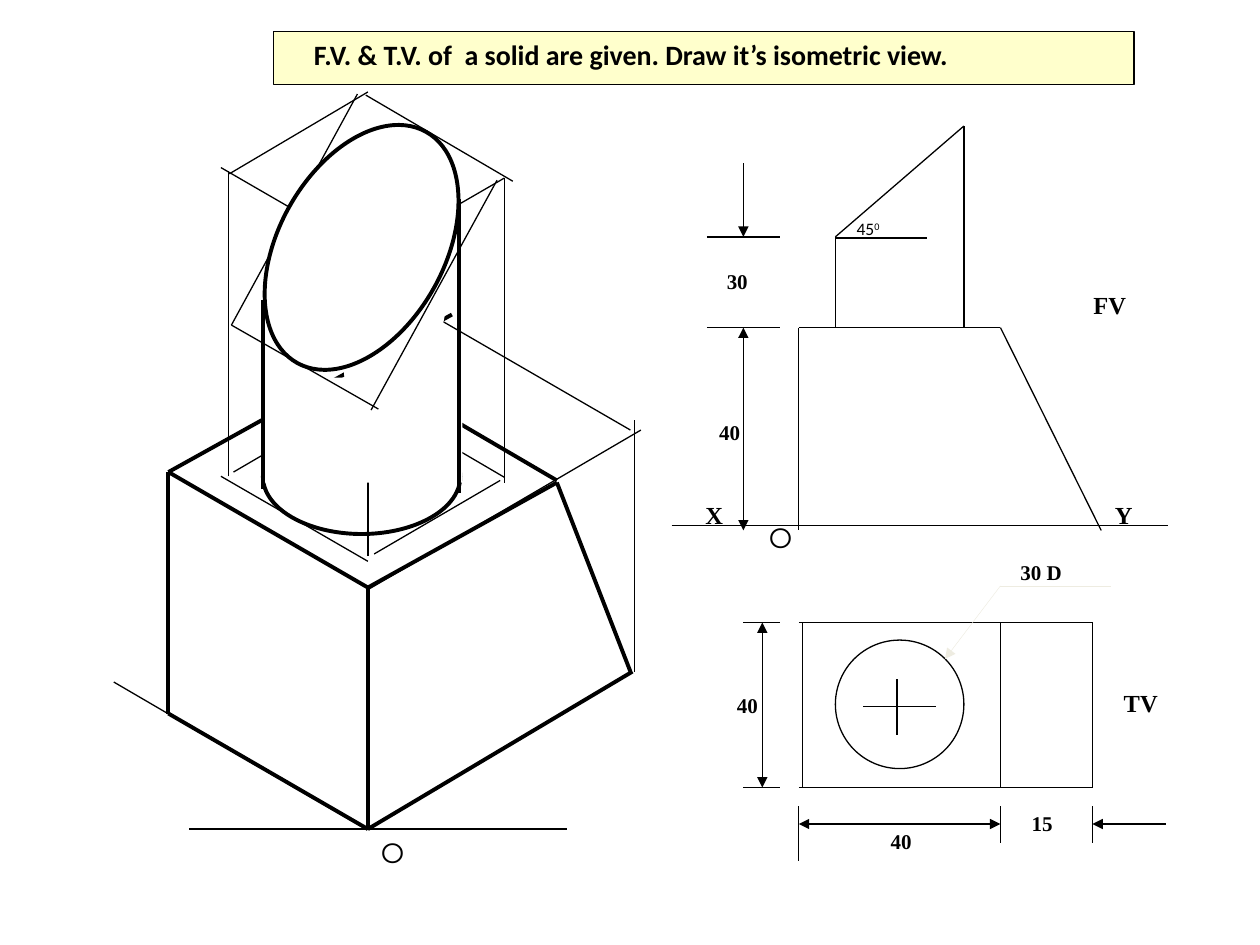
from dataclasses import dataclass

from lxml import etree
from pptx import Presentation
from pptx.dml.color import RGBColor
from pptx.enum.shapes import MSO_CONNECTOR, MSO_SHAPE
from pptx.enum.text import MSO_ANCHOR, MSO_AUTO_SIZE, PP_ALIGN
from pptx.oxml.ns import qn
from pptx.util import Inches, Pt

STRAIGHT = MSO_CONNECTOR.STRAIGHT
OVAL, RECT = MSO_SHAPE.OVAL, MSO_SHAPE.RECTANGLE
LEFT, CENTER = PP_ALIGN.LEFT, PP_ALIGN.CENTER
TOP = MSO_ANCHOR.TOP
NO_FIT, GROW = MSO_AUTO_SIZE.NONE, MSO_AUTO_SIZE.SHAPE_TO_FIT_TEXT

COLORS = {"ink": "000000", "paper": "FFFFFF", "banner": "FFFFCC", "leader": "EEECE1"}
THIN, BOLD, HAIR = 0.75, 2.25, 0.25
SERIF, SANS, MARK = "Times New Roman", "Calibri", "Montserrat"


def color(name):
    return RGBColor.from_string(COLORS[name])


def write(p, text, size, font=SERIF, bold=False, align=LEFT, sup=False):
    p.alignment = align
    r = p.add_run()
    r.text = text
    r.font.size, r.font.name, r.font.bold = Pt(size), font, bold
    r.font.color.rgb = color("ink")
    if sup:
        r._r.get_or_add_rPr().set("baseline", "30000")


@dataclass
class Grid:
    """Drawing grid: origin and cell size in inches; x runs right, y runs down."""
    s: object
    left: float
    top: float
    cell: float

    def x(self, col):
        return Inches(self.left + col * self.cell)

    def y(self, row):
        return Inches(self.top + row * self.cell)

    def line(self, x1, y1, x2, y2, width=THIN, ink="ink", head=False, tail=False):
        c = self.s.shapes.add_connector(STRAIGHT, self.x(x1), self.y(y1), self.x(x2), self.y(y2))
        c.line.width, c.line.color.rgb = Pt(width), color(ink)
        ln = c.line._get_or_add_ln()
        for tag, wanted in (("a:headEnd", head), ("a:tailEnd", tail)):
            if wanted:
                etree.SubElement(ln, qn(tag), type="triangle")
        etree.SubElement(c._element.spPr, qn("a:effectLst"))

    def lines(self, ends, width=THIN):
        for x1, y1, x2, y2 in ends:
            self.line(x1, y1, x2, y2, width)

    def shape(self, kind, col, row, cols, rows, width=None, rotation=0):
        sp = self.s.shapes.add_shape(kind, self.x(col), self.y(row),
                                     Inches(cols * self.cell), Inches(rows * self.cell))
        sp.shadow.inherit = False
        sp.rotation = rotation
        sp.fill.solid()
        sp.fill.fore_color.rgb = color("paper")
        if width:
            sp.line.width, sp.line.color.rgb = Pt(width), color("ink")
        else:
            sp.line.fill.background()

    def label(self, text, col, row, width=0.37, height=0.3, size=12, sup="", **fmt):
        sp = self.s.shapes.add_textbox(self.x(col), self.y(row), Inches(width), Inches(height))
        tf = sp.text_frame
        tf.word_wrap, tf.auto_size = False, GROW
        p = tf.paragraphs[0]
        write(p, text, size, **fmt)
        if sup:
            write(p, sup, size, sup=True, **fmt)

    def origin_mark(self, col, row):
        self.label("O", col, row, 0.39, 0.37, size=16, font=MARK, align=CENTER)


def title_banner(s, left, top, width, height):
    sp = s.shapes.title
    sp.left, sp.top, sp.width, sp.height = map(Inches, (left, top, width, height))
    sp.fill.solid()
    sp.fill.fore_color.rgb = color("banner")
    sp.line.width, sp.line.color.rgb = Pt(THIN), color("ink")
    tf = sp.text_frame
    tf.word_wrap, tf.auto_size, tf.vertical_anchor = True, NO_FIT, TOP
    tf.margin_left, tf.margin_top = Inches(0.32), Inches(0.05)
    write(tf.paragraphs[0], "F.V. & T.V. of  a solid are given. Draw it’s isometric view.",
          16, font=SANS, bold=True)


def isometric_view(g):
    """Solid with its construction lines; the grid origin is the front bottom corner."""
    # Frustum body
    g.lines([(-17, 0, 19, 0), (-0.2, 0, -24.2, -14), (25.4, -15, 25.4, -39),
             (25, -38, 6, -49), (0, -22.8, 26, -38)])
    g.lines([(0, 0, 25.2, -15), (0, 0, 0, -23), (-19, -11, -19, -34), (18, -33, 25, -15),
             (-19, -34, 8, -49), (0, -23, -19, -34), (18, -33.2, -0.8, -44.2),
             (0, -23, 18, -33), (-19, -11, 0, 0)], BOLD)
    # Cylinder base and its enclosing prism
    g.shape(OVAL, -10, -39, 18.8, 10.9, BOLD)
    g.lines([(-12.8, -34, -0.8, -41), (0.6, -26.2, 12.6, -33.2),
             (0, -25.5, -14, -33.6), (13, -33.5, -1, -41.7),
             (-13.3, -33.6, -13.3, -62.7), (0, -26, 0, -55), (13, -33, 13, -62),
             (0, -54.9, -14, -63), (13.8, -61.7, -0.2, -69.9),
             (0.2, -54.6, 13, -62), (-13.2, -62.4, 0, -70.2), (-1, -70, -13, -48)])
    # Cylinder wall and slanted cut
    g.shape(RECT, -10, -43, 19, 10)
    g.shape(OVAL, -3.8, -49.8, 12.7, 6.6, rotation=310.2)
    g.lines([(-13, -48, 1, -40), (12.3, -61.8, 0.3, -39.9)])
    g.shape(OVAL, -13.2, -63.3, 25.2, 15.8, BOLD, rotation=299.1)
    g.lines([(-10, -50.4, -10, -32.4), (8.7, -60, 8.7, -32)], BOLD)
    g.origin_mark(0, 0)


def front_view(g):
    """Front view above XY; the grid origin is its bottom left corner."""
    shelf, cut, peak = -15.7, -22.9, -31.7
    cyl_left, cyl_right, top_right = 2.9, 13.1, 16
    g.lines([(0, shelf, 0, 0.4), (0, shelf, top_right, shelf), (top_right, shelf, 24, 0.4),
             (0, 0, 24.8, 0), (cyl_left, cut, cyl_left, shelf),
             (cyl_right, peak, cyl_right, shelf), (cyl_right, peak, cyl_left, cut),
             (-10.1, 0, 29.3, 0), (cyl_left, -22.8, 10.2, -22.8)])
    g.lines([(-7.3, row, -1.5, row) for row in (shelf, cut)])
    g.line(-4.4, shelf, -4.4, 0.4, head=True, tail=True)
    g.line(-4.4, cut, -4.4, -28.8, head=True)
    g.label("45", 3.6, -24.9, 0.41, 0.27, size=10, font=SANS, sup="0")
    for text, col, row, width in (("X", -8.4, -2.5, 0.34), ("Y", 24.1, -2.5, 0.34),
                                  ("FV", 22.4, -19.2, 0.46)):
        g.label(text, col, row, width, 0.34, size=14, bold=True)
    for text, col, row in (("30", -6.7, -20.9), ("40", -7.3, -8.9)):
        g.label(text, col, row, bold=True)
    g.origin_mark(-3.4, -0.9)


def top_view(g):
    """Top view; the grid origin is its top left corner."""
    depth, mid, right = 13.1, 16, 23.3
    g.lines([(0, row, right, row) for row in (0, depth)])
    g.lines([(col, 0, col, depth) for col in (0.3, mid, right)])
    g.shape(OVAL, 2.9, 1.4, 10.2, 10.2, THIN)
    g.lines([(5.1, 6.7, 10.9, 6.7), (7.8, 4.5, 7.8, 8.9)])
    # Dimensions
    g.lines([(-4.4, row, -1.5, row) for row in (0, depth)])
    g.lines([(col, 14.6, col, end) for col, end in ((0, 18.9), (mid, 17.5), (right, 17.5))])
    g.line(0, 16, mid, 16, head=True, tail=True)
    g.line(-2.9, 0, -2.9, depth, head=True, tail=True)
    g.line(right, 16, 29.1, 16, head=True)
    g.line(11.6, 2.9, mid, -2.9, HAIR, "leader", head=True)
    g.line(mid, -2.9, 24.8, -2.9, HAIR, "leader")
    g.label("30 D", 16.6, -5.5, 0.53, bold=True)
    for text, col, row in (("40", -5.9, 5.1), ("40", 6.3, 15.9), ("15", 17.5, 14.4)):
        g.label(text, col, row, bold=True)
    g.label("TV", 24.8, 4.7, 0.47, 0.34, size=14, bold=True)


def main():
    prs = Presentation()
    prs.slide_width, prs.slide_height = Inches(10), Inches(7.5)
    s = prs.slides.add_slide(prs.slide_layouts[5])
    title_banner(s, 2.17, 0.25, 6.83, 0.42)
    isometric_view(Grid(s, 2.92, 6.58, 1 / 12))
    front_view(Grid(s, 6.34, 4.17, 0.1))
    top_view(Grid(s, 6.34, 4.94, 0.1))
    prs.save("out.pptx")


if __name__ == "__main__":
    main()
